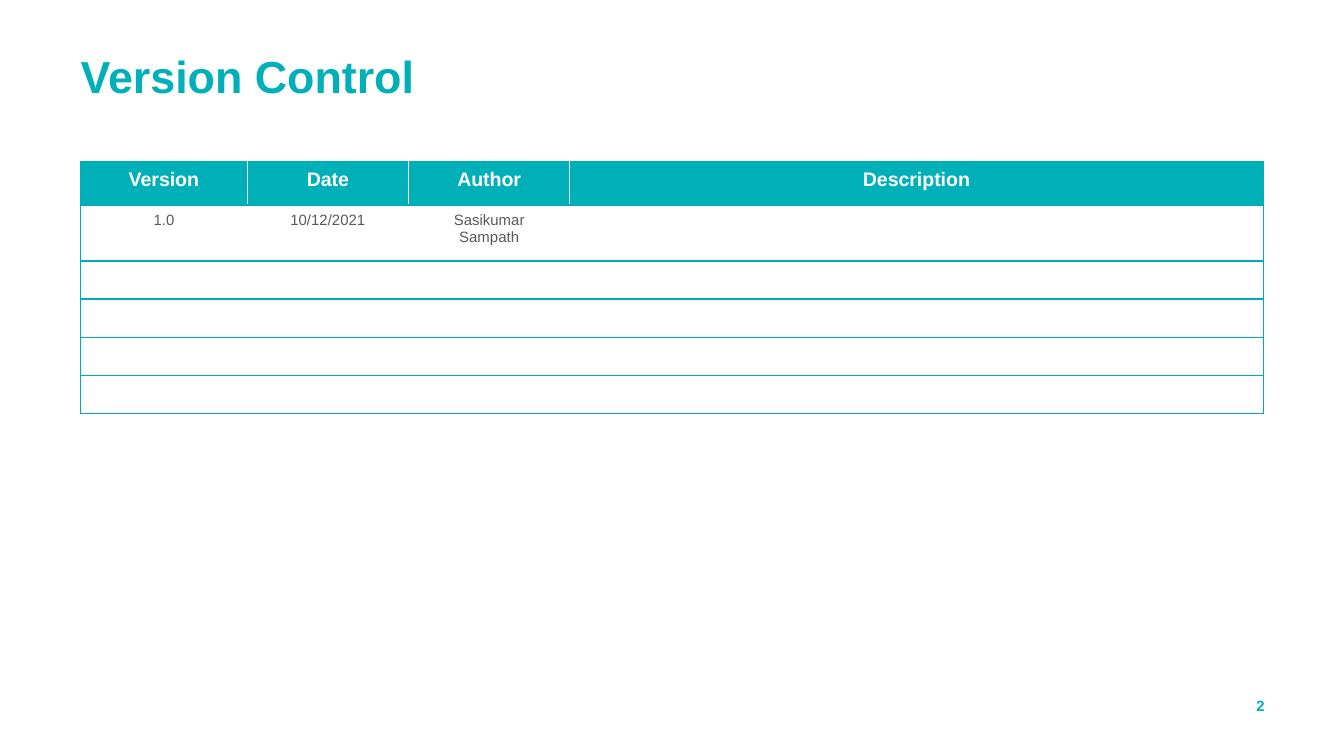
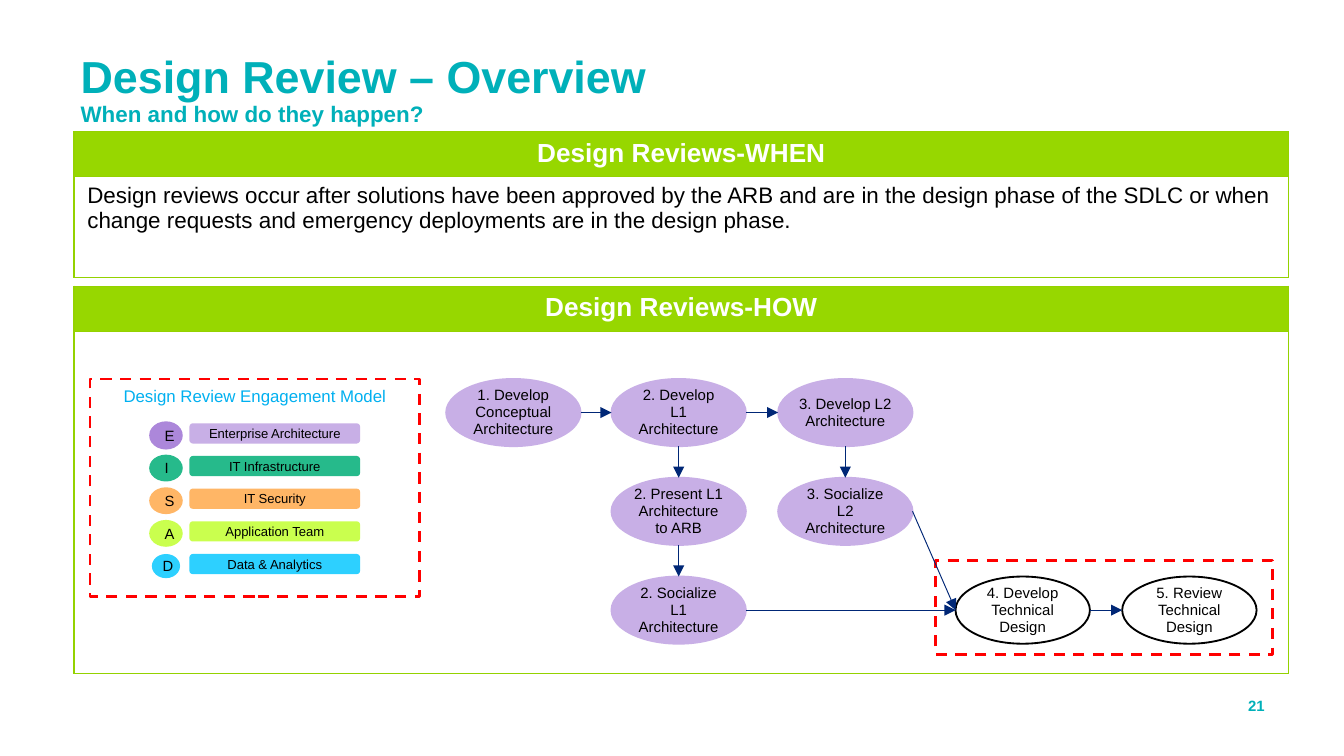
from lxml import etree
from pptx import Presentation
from pptx.dml.color import RGBColor
from pptx.enum.dml import MSO_LINE
from pptx.enum.shapes import MSO_CONNECTOR, MSO_SHAPE
from pptx.enum.text import MSO_ANCHOR, PP_ALIGN
from pptx.oxml.ns import qn
from pptx.util import Inches, Pt

COLORS = {
    "title": "00B0B9", "teal": "00ACB5", "green": "94D200", "band": "97D700",
    "white": "FFFFFF", "black": "000000", "gray": "595959", "red": "FF0000",
    "navy": "002776", "caption": "00B0F0", "lilac": "C8AFE6", "violet": "AC87DA",
    "emerald": "26BA8B", "orange": "FFB666", "lime": "CAFF4E", "sky": "2DD0FF",
}
FONT = "Arial"
NO_TABLE_STYLE = "{2D5ABB26-0587-4C30-8999-92F81FD0307C}"

# Text formats: "font" goes on each run, "paragraph" on each paragraph
TITLE = {"font": {"size": Pt(24), "bold": True}, "color": "title",
         "paragraph": {"line_spacing": 0.9}}
SUBTITLE = {**TITLE, "font": {"size": Pt(12), "bold": True}}
PAGE_NUMBER = {"font": {"size": Pt(8), "bold": True}, "color": "title",
               "paragraph": {"alignment": PP_ALIGN.RIGHT}}


def centered(size, color="black", bold=False, **paragraph):
    return {"font": {"size": Pt(size), "bold": bold}, "color": color,
            "paragraph": {"alignment": PP_ALIGN.CENTER, **paragraph}}


BODY = {"font": {"size": Pt(12), "bold": False}, "color": "black", "paragraph": {}}
STEP = centered(8, line_spacing=0.95, space_before=Pt(1.6))


def apply(target, values):
    for name, value in values.items():
        setattr(target, name, value)


def rgb(name):
    return RGBColor.from_string(COLORS[name])


def inches(values):
    return [Inches(value) for value in values]


def margins(left, top, right, bottom):
    return {"margin_left": Inches(left), "margin_top": Inches(top),
            "margin_right": Inches(right), "margin_bottom": Inches(bottom)}


def style_run(run, style):
    apply(run.font, {"name": FONT, **style["font"]})
    run.font.color.rgb = rgb(style["color"])


def set_text(frame, text, style):
    paragraph = frame.paragraphs[0]
    paragraph.text = text
    apply(paragraph, style["paragraph"])
    for run in paragraph.runs:
        style_run(run, style)
    if not text:  # keeps an empty table row at its own height
        end = etree.SubElement(paragraph._p, qn("a:endParaRPr"))
        end.set("sz", str(int(style["font"]["size"].pt * 100)))
    return paragraph


# --- Basic parts ---
def add_text(slide, box, text, style):
    frame = slide.shapes.add_textbox(*inches(box)).text_frame
    apply(frame, {"word_wrap": True, **margins(0, 0, 0, 0)})
    return set_text(frame, text, style)


def add_shape(slide, kind, box, fill=None, line=None, width=1, dash=None,
              text="", style=None, inset=None, anchor=MSO_ANCHOR.MIDDLE):
    shape = slide.shapes.add_shape(kind, *inches(box))
    shape.shadow.inherit = False
    if fill:
        shape.fill.solid()
        shape.fill.fore_color.rgb = rgb(fill)
    else:
        shape.fill.background()
    if line:
        shape.line.color.rgb = rgb(line)
        apply(shape.line, {"width": Pt(width), "dash_style": dash})
    else:
        shape.line.fill.background()
    if text:
        apply(shape.text_frame, {"word_wrap": True, "vertical_anchor": anchor})
        if inset is not None:
            apply(shape.text_frame, margins(*[inset] * 4))
        set_text(shape.text_frame, text, style)


def add_arrow(slide, start, end):
    arrow = slide.shapes.add_connector(MSO_CONNECTOR.STRAIGHT, *inches(start + end))
    arrow.line.color.rgb = rgb("navy")
    arrow.line.width = Pt(0.5)
    tail = etree.SubElement(arrow.line._get_or_add_ln(), qn("a:tailEnd"))
    tail.set("type", "triangle")
    etree.SubElement(arrow._element.spPr, qn("a:effectLst"))


def add_table(slide, box, columns, rows):
    left, top, width, _ = box
    table = slide.shapes.add_table(
        len(rows), len(columns), *inches((left, top, width, sum(rows)))).table
    apply(table, {"first_row": False, "horz_banding": False})
    table._tbl.tblPr.find(qn("a:tableStyleId")).text = NO_TABLE_STYLE
    for column, column_width in zip(table.columns, columns):
        column.width = Inches(column_width)
    for row, row_height in zip(table.rows, rows):
        row.height = Inches(row_height)
    return table


def format_cell(cell, text, style, borders, fill=None, **layout):
    set_text(cell.text_frame, text, style)
    apply(cell, layout)
    properties = cell._tc.get_or_add_tcPr()
    for side in "LRTB":
        if side in borders:
            color, width = borders[side]
            line = etree.SubElement(properties, qn(f"a:ln{side}"), w=str(Pt(width)))
            solid = etree.SubElement(line, qn("a:solidFill"))
            etree.SubElement(solid, qn("a:srgbClr"), val=COLORS[color])
    if fill:
        cell.fill.solid()
        cell.fill.fore_color.rgb = rgb(fill)
    else:
        cell.fill.background()


# --- Shared slide frame ---
def add_slide(presentation, title, number, subtitle=None):
    slide = presentation.slides.add_slide(presentation.slide_layouts[6])
    paragraph = add_text(slide, (0.6, 0.41, 8.81, 0.61 if subtitle else 0.9),
                         title, TITLE)
    if subtitle:
        paragraph.add_line_break()
        run = paragraph.add_run()
        run.text = subtitle
        style_run(run, SUBTITLE)
    add_text(slide, (9.14, 5.18, 0.27, 0.13), str(number), PAGE_NUMBER)
    return slide


# --- Version history ---
def add_version_table(slide, box):
    records = [["Version", "Date", "Author", "Description"],
               ["1.0", "10/12/2021", "Sasikumar Sampath", ""]] + [[""] * 4] * 4
    table = add_table(slide, box, [1.24, 1.2, 1.2, 5.16], [0.31, 0.4] + [0.27] * 4)
    outer, divider = ("teal", 0.75), ("white", 0.5)
    for i, record in enumerate(records):
        header = i == 0
        style = centered(10.5, "white", True) if header else centered(8, "gray")
        for j, text in enumerate(record):
            # Every second row draws the lines above and below it
            borders = {"T": outer, "B": outer} if i % 2 else {}
            if header:
                borders = {"T": outer, "L": divider, "R": divider}
            if j == 0:
                borders["L"] = outer
            if j == len(record) - 1:
                borders["R"] = outer
            format_cell(table.cell(i, j), text, style, borders,
                        "title" if header else None, **margins(0.1, 0.05, 0.1, 0.1),
                        vertical_anchor=MSO_ANCHOR.MIDDLE if header else MSO_ANCHOR.TOP)


# --- Green panel with a heading ---
def add_panel(slide, box, heading, body=""):
    header_height = 0.31
    table = add_table(slide, box, [box[2]], [header_height, box[3] - header_height])
    edge = ("green", 0.75)
    format_cell(table.cell(0, 0), heading, centered(14, "white", True),
                dict.fromkeys("LRT", edge), "band")
    format_cell(table.cell(1, 0), body, BODY, dict.fromkeys("LRTB", edge))


# --- Teams in the engagement model ---
def add_engagement_model(slide, box):
    left, top, _, _ = box
    teams = [  # letter, team, badge colour, bar colour, badge width and height
        ("E", "Enterprise Architecture", "violet", "lilac", 0.25, 0.21),
        ("I", "IT Infrastructure", "emerald", "emerald", 0.25, 0.2),
        ("S", "IT Security", "orange", "orange", 0.25, 0.2),
        ("A", "Application Team", "lime", "lime", 0.25, 0.2),
        ("D", "Data & Analytics", "sky", "sky", 0.21, 0.18),
    ]
    for i, (letter, team, badge, bar, width, height) in enumerate(teams):
        center_y = top + 0.42 + 0.243 * i
        add_shape(slide, MSO_SHAPE.OVAL,
                  (left + 0.565 - width / 2, center_y - height / 2, width, height),
                  badge, text=letter, style=centered(8 if i == 0 else 7.9))
        add_shape(slide, MSO_SHAPE.ROUNDED_RECTANGLE,
                  (left + 0.74, center_y - 0.09, 1.27, 0.15),
                  bar, text=team, style=centered(7))
    add_shape(slide, MSO_SHAPE.RECTANGLE, box, line="red", width=1.5,
              dash=MSO_LINE.DASH, text="Design Review Engagement Model",
              style=centered(9, "caption"), inset=0.05, anchor=MSO_ANCHOR.TOP)


# --- Review process ---
def add_review_flow(slide, box):
    left, top, _, _ = box
    column_lefts = [0, 1.23, 2.47, 3.79, 5.03]
    row_step, width, height = 0.735, 1, 0.5
    steps = {  # (column, row): text
        (0, 0): "1. Develop Conceptual Architecture",
        (1, 0): "2. Develop\vL1 Architecture",
        (2, 0): "3. Develop L2 Architecture",
        (1, 1): "2. Present L1 Architecture to ARB",
        (2, 1): "3. Socialize L2 Architecture",
        (1, 2): "2. Socialize L1 Architecture",
        (3, 2): "4. Develop Technical Design",
        (4, 2): "5. Review Technical Design",
    }
    links = [((0, 0), (1, 0)), ((1, 0), (2, 0)), ((1, 0), (1, 1)), ((2, 0), (2, 1)),
             ((1, 1), (1, 2)), ((2, 1), (3, 2)), ((1, 2), (3, 2)), ((3, 2), (4, 2))]

    def corner(step):
        return left + column_lefts[step[0]], top + row_step * step[1]

    for step, text in steps.items():
        technical = step[0] >= 3
        add_shape(slide, MSO_SHAPE.OVAL, (*corner(step), width, height),
                  None if technical else "lilac", "black" if technical else "lilac",
                  text=text, style=STEP, inset=0)

    # Frame around the technical design steps
    frame_x, frame_y = corner((3, 2))
    add_shape(slide, MSO_SHAPE.RECTANGLE, (frame_x - 0.15, frame_y - 0.12, 2.51, 0.7),
              line="red", width=1.5, dash=MSO_LINE.DASH)

    # Arrows go down within a column, otherwise from right side to left side
    for source, target in links:
        (x1, y1), (x2, y2) = corner(source), corner(target)
        if source[0] == target[0]:
            add_arrow(slide, (x1 + width / 2, y1 + height), (x2 + width / 2, y2))
        else:
            add_arrow(slide, (x1 + width, y1 + height / 2), (x2, y2 + height / 2))


def main():
    presentation = Presentation()
    width = Inches(10)
    apply(presentation, {"slide_width": width, "slide_height": width * 9 // 16})

    slide = add_slide(presentation, "Version Control", 2)
    add_version_table(slide, (0.6, 1.2, 8.8, 1.79))

    slide = add_slide(presentation, "Design Review – Overview", 21,
                      "When and how do they happen?")
    add_panel(slide, (0.55, 0.98, 9.04, 1.06), "Design Reviews-WHEN",
              "Design reviews occur after solutions have been approved by the ARB and "
              "are in the design phase of the SDLC or when change requests and "
              "emergency deployments are in the design phase.")
    add_panel(slide, (0.55, 2.13, 9.04, 2.86), "Design Reviews-HOW")
    add_engagement_model(slide, (0.67, 2.82, 2.45, 1.62))
    add_review_flow(slide, (3.32, 2.82, 6.03, 1.97))
    presentation.save("out.pptx")


if __name__ == "__main__":
    main()
